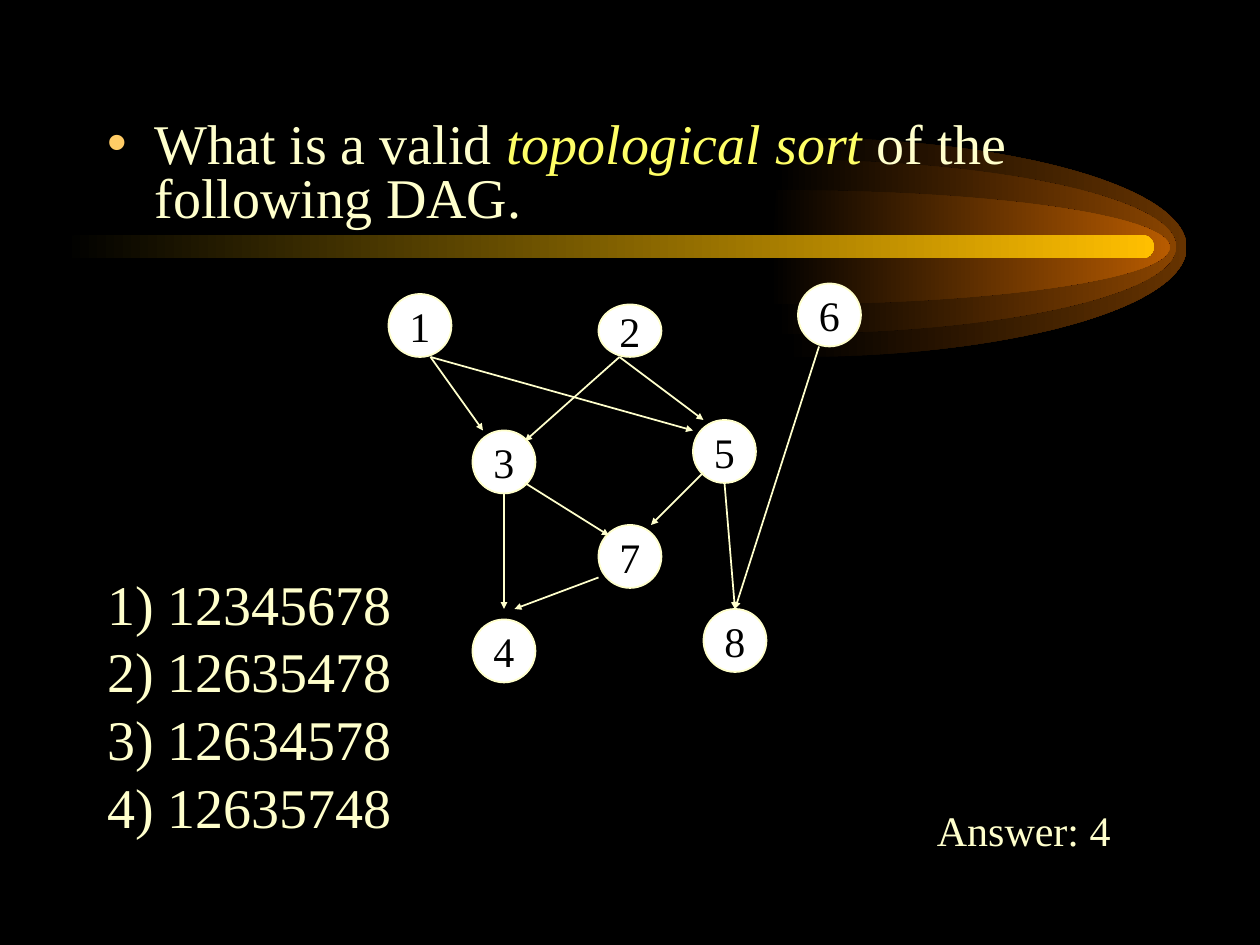
from lxml import etree
from pptx import Presentation
from pptx.dml.color import RGBColor
from pptx.enum.shapes import MSO_CONNECTOR, MSO_SHAPE
from pptx.enum.text import MSO_ANCHOR, MSO_AUTO_SIZE, PP_ALIGN
from pptx.oxml.ns import qn
from pptx.util import Emu, Pt

PX = 7620
FONT = "Times New Roman"
STRAIGHT = MSO_CONNECTOR.STRAIGHT
OVAL, ROUNDED = MSO_SHAPE.OVAL, MSO_SHAPE.ROUNDED_RECTANGLE
CENTER, LEFT = PP_ALIGN.CENTER, PP_ALIGN.LEFT
TOP, MIDDLE = MSO_ANCHOR.TOP, MSO_ANCHOR.MIDDLE
NO_FIT, GROW = MSO_AUTO_SIZE.NONE, MSO_AUTO_SIZE.SHAPE_TO_FIT_TEXT

COLORS = {
    "night": "000000", "cream": "FFFFCC", "term": "FFFF66", "bullet": "FFCC66",
    "node": "FFFFFF", "outer": "663300", "middle": "894400", "inner": "B75B00",
    "bar": "FFBF00",
}
FLAMES = [
    ((749, 131, 381, 209), "outer"),
    ((739, 152, 381, 166), "middle"),
    ((733, 181, 381, 109), "inner"),
]
NODES = {
    "1": (0, 10, 60), "2": (200, 20, 50), "6": (390, 0, 60), "3": (80, 140, 60),
    "5": (290, 130, 60), "7": (200, 230, 60), "4": (80, 320, 60), "8": (300, 310, 60),
}
EDGES = [
    (40, 70, 90, 140), (40, 70, 290, 140), (220, 70, 130, 150), (220, 70, 300, 130),
    (410, 60, 330, 310), (130, 190, 210, 240), (320, 190, 330, 310),
    (110, 200, 110, 310), (200, 280, 120, 310), (300, 180, 250, 230),
]
QUESTION = [
    ("What is a valid ", "cream", False),
    ("topological sort", "term", True),
    (" of the following DAG.", "cream", False),
]
CHOICES = ["1) 12345678", "2) 12635478", "3) 12634578", "4) 12635748"]


def px(*values):
    """Turn pixel lengths into EMU."""
    return [Emu(round(value * PX)) for value in values]


def rgb(name):
    """Look up a named colour."""
    return RGBColor.from_string(COLORS[name])


def add_span(para, text, size=24, color="cream", italic=False):
    """Append formatted text to a paragraph."""
    span = para.add_run()
    span.text = text
    span.font.name = FONT
    span.font.size = Pt(size)
    span.font.italic = italic
    span.font.color.rgb = rgb(color)


def set_frame(frame, wrap=False, anchor=TOP, fit=NO_FIT):
    """Set the wrapping, anchor, fit and insets of a text frame."""
    frame.word_wrap = wrap
    frame.vertical_anchor = anchor
    frame.auto_size = fit
    frame.margin_left, frame.margin_top, frame.margin_right, frame.margin_bottom = px(12, 6, 12, 6)


def set_bullet(para, char=None):
    """Give a paragraph a hanging indent and a bullet or none."""
    props = para._p.get_or_add_pPr()
    hang = 45 * PX
    props.set("marL", str(hang))
    props.set("indent", str(-hang))
    if char:
        tint = etree.SubElement(props, qn("a:buClr"))
        etree.SubElement(tint, qn("a:srgbClr"), val=COLORS["bullet"])
        etree.SubElement(props, qn("a:buChar"), char=char)
    else:
        etree.SubElement(props, qn("a:buNone"))


def set_glow(shape, color):
    """Fade a shape from black on the left to a colour on the right."""
    shape.shadow.inherit = False
    shape.line.fill.background()
    shape.fill.gradient()
    shape.fill.gradient_angle = 0
    for stop, name, position in zip(shape.fill.gradient_stops, ("night", color), (0, 1)):
        stop.color.rgb = rgb(name)
        stop.position = position


def round_segments(shape, curves):
    """Turn each leading triple of line segments into one Bezier curve."""
    lines = list(shape._element.iter(qn("a:lnTo")))
    for index in range(curves):
        triple = lines[3 * index:3 * index + 3]
        curve = etree.Element(qn("a:cubicBezTo"))
        triple[0].addprevious(curve)
        for line in triple:
            curve.append(line[0])
            line.getparent().remove(line)


def add_flame(page, box, color):
    """Draw a half ellipse that opens to the right."""
    left, top, width, height = box
    start, right, bottom, middle = left + 6, left + width, top + height, top + height / 2
    bend_x = start + 0.55 * (right - start)
    bend_y = 0.55 * height / 2
    points = [
        (bend_x, top), (right, middle - bend_y), (right, middle),
        (right, middle + bend_y), (bend_x, bottom), (start, bottom), (left, bottom),
    ]
    builder = page.shapes.build_freeform(*px(start, top))
    builder.add_line_segments([px(*point) for point in points], close=True)
    flame = builder.convert_to_shape()
    round_segments(flame, 2)
    set_glow(flame, color)


def add_comet(page, box):
    """Draw the flames and the bar across the slide."""
    for flame_box, color in FLAMES:
        add_flame(page, flame_box, color)
    bar = page.shapes.add_shape(ROUNDED, *px(*box))
    bar.adjustments[0] = 0.5
    set_glow(bar, "bar")


def add_question(page, box):
    """Fill the body placeholder with the question and its choices."""
    body = page.placeholders[1]
    body.left, body.top, body.width, body.height = px(*box)
    page.shapes._spTree.append(body._element)
    frame = body.text_frame
    set_frame(frame, wrap=True)
    para = frame.paragraphs[0]
    set_bullet(para, "•")
    para.alignment = LEFT
    para.line_spacing = 0.8
    para.space_before = Pt(0)
    for text, color, italic in QUESTION:
        add_span(para, text, size=32, color=color, italic=italic)
    for index, choice in enumerate(CHOICES):
        para = frame.add_paragraph()
        set_bullet(para)
        para.alignment = LEFT
        para.line_spacing = 0.8
        para.space_before = Pt(8 if index else 201.6)
        add_span(para, choice, size=32)


def add_node(page, label, box):
    """Draw one numbered graph node."""
    node = page.shapes.add_shape(OVAL, *px(*box))
    node.shadow.inherit = False
    node.fill.solid()
    node.fill.fore_color.rgb = rgb("node")
    node.line.color.rgb = rgb("cream")
    node.line.width = Pt(1)
    set_frame(node.text_frame, anchor=MIDDLE)
    para = node.text_frame.paragraphs[0]
    para.alignment = CENTER
    add_span(para, label, color="night")


def add_edge(page, ends):
    """Draw one arrow between graph nodes."""
    edge = page.shapes.add_connector(STRAIGHT, *px(*ends))
    edge.line.color.rgb = rgb("cream")
    edge.line.width = Pt(1)
    etree.SubElement(edge.line._get_or_add_ln(), qn("a:tailEnd"), type="triangle", w="sm", len="sm")
    etree.SubElement(edge._element.spPr, qn("a:effectLst"))


def add_graph(page, left, top):
    """Draw the directed graph from its top left corner."""
    for label, (x, y, height) in NODES.items():
        add_node(page, label, (left + x, top + y, 60, height))
    for x1, y1, x2, y2 in EDGES:
        add_edge(page, (left + x1, top + y1, left + x2, top + y2))


def add_answer(page, box):
    """Write the answer in its box."""
    answer = page.shapes.add_textbox(*px(*box))
    set_frame(answer.text_frame, fit=GROW)
    para = answer.text_frame.paragraphs[0]
    para.alignment = CENTER
    add_span(para, "Answer: 4")


def main():
    """Build and save the deck."""
    deck = Presentation()
    deck.slide_width, deck.slide_height = px(1200, 900)
    page = deck.slides.add_slide(deck.slide_layouts[1])
    page.background.fill.solid()
    page.background.fill.fore_color.rgb = rgb("night")
    title = page.shapes.title._element
    title.getparent().remove(title)
    add_comet(page, (60, 224, 1039, 22))
    add_question(page, (90, 110, 1020, 760))
    add_graph(page, 370, 270)
    add_answer(page, (880, 760, 190, 60))
    deck.save("out.pptx")


if __name__ == "__main__":
    main()
